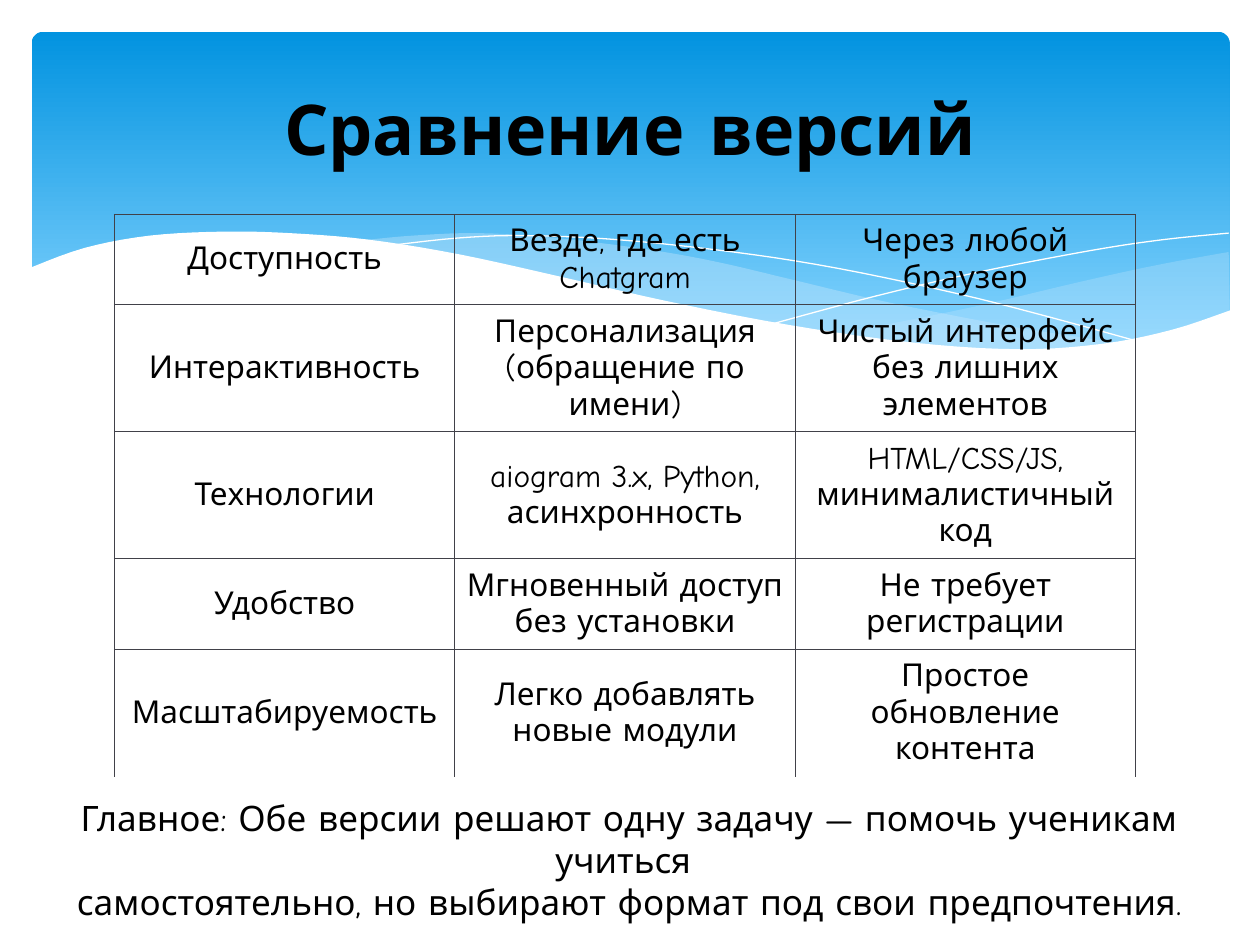
import lxml.etree
import pptx
import pptx.dml.color
import pptx.enum.shapes
import pptx.enum.text
import pptx.oxml.ns
import pptx.util

Cm = pptx.util.Cm
Pt = pptx.util.Pt
qn = pptx.oxml.ns.qn
ANCHOR = pptx.enum.text.MSO_ANCHOR
AUTO_SIZE = pptx.enum.text.MSO_AUTO_SIZE

COLOURS = {"sky": "0293E0", "pale_sky": "83D3FE", "mist": "C6E7FC",
           "white": "FFFFFF", "border": "414149", "text": "000000"}


def colour(name):
    return pptx.dml.color.RGBColor.from_string(COLOURS[name])


def apply_format(target, values):
    for name, value in values.items():
        setattr(target, name, value)


def smooth_curve(knots, steps=5):
    """Catmull-Rom curve through the knots."""
    padded = [knots[0], *knots, knots[-1]]
    curve = [knots[0]]
    for a, b, c, d in zip(padded, padded[1:], padded[2:], padded[3:]):
        for t in (step / steps for step in range(1, steps + 1)):
            curve.append(tuple(
                (2 * q + (r - p) * t + (2 * p - 5 * q + 4 * r - s) * t ** 2
                 + (3 * q - p - 3 * r + s) * t ** 3) / 2
                for p, q, r, s in zip(a, b, c, d)))
    return curve


class SlideBuilder:
    font = "Comic Neue"

    def __init__(self, slide):
        self.slide = slide

    def fill_text(self, frame, paragraphs, size, bold=False, **frame_format):
        apply_format(frame, frame_format)
        for index, wording in enumerate(paragraphs):
            paragraph = frame.add_paragraph() if index else frame.paragraphs[0]
            paragraph.alignment = pptx.enum.text.PP_ALIGN.CENTER
            run = paragraph.add_run()
            run.text = wording
            apply_format(run.font, {"name": self.font, "size": Pt(size), "bold": bold})
            run.font.color.rgb = colour("text")

    def text(self, box, paragraphs, size, **options):
        frame = self.slide.shapes.add_textbox(*map(Cm, box)).text_frame
        self.fill_text(frame, paragraphs, size, **options)

    def gradient_panel(self, box, radius, stops):
        panel = self.slide.shapes.add_shape(
            pptx.enum.shapes.MSO_SHAPE.ROUNDED_RECTANGLE, *map(Cm, box))
        panel.adjustments[0] = radius
        panel.shadow.inherit = False
        panel.line.fill.background()
        panel.fill.gradient()
        panel.fill.gradient_angle = 270
        for stop, (position, name) in zip(panel.fill.gradient_stops, stops):
            stop.position = position
            stop.color.rgb = colour(name)

    def outline(self, points, close):
        start, *rest = [(Cm(x), Cm(y)) for x, y in points]
        builder = self.slide.shapes.build_freeform(*start)
        builder.add_line_segments(rest, close=close)
        shape = builder.convert_to_shape()
        shape.shadow.inherit = False
        return shape

    def wave(self, points, name, opacity=100):
        wave = self.outline(points, True)
        wave.line.fill.background()
        wave.fill.solid()
        wave.fill.fore_color.rgb = colour(name)
        if opacity < 100:
            tint = wave.element.spPr.find(qn("a:solidFill")).find(qn("a:srgbClr"))
            lxml.etree.SubElement(tint, qn("a:alpha"), val=str(opacity * 1000))

    def curve(self, points, name):
        curve = self.outline(points, False)
        curve.fill.background()
        curve.line.color.rgb = colour(name)
        curve.line.width = Pt(0)

    def borders(self, cell, widths):
        properties = cell._tc.get_or_add_tcPr()
        for index, (side, width) in enumerate(widths.items()):
            edge = lxml.etree.Element(qn("a:ln" + side), w=str(int(Pt(width))))
            if width:
                fill = lxml.etree.SubElement(edge, qn("a:solidFill"))
                lxml.etree.SubElement(fill, qn("a:srgbClr"), val=COLOURS["border"])
            else:
                lxml.etree.SubElement(edge, qn("a:noFill"))
            properties.insert(index, edge)

    def table(self, left, top, column_width, row_heights, rows, size):
        last_row, last_column = len(rows) - 1, len(rows[0]) - 1
        table = self.slide.shapes.add_table(
            len(rows), len(rows[0]), Cm(left), Cm(top),
            Cm(column_width * len(rows[0])), Cm(sum(row_heights))).table
        apply_format(table, {"first_row": False, "horz_banding": False})
        for column in table.columns:
            column.width = Cm(column_width)
        margins = {f"margin_{side}": Cm(0.18)
                   for side in ("left", "top", "right", "bottom")}
        for r, (height, wordings) in enumerate(zip(row_heights, rows)):
            table.rows[r].height = Cm(height)
            for c, wording in enumerate(wordings):
                cell = table.cell(r, c)
                apply_format(cell, {"vertical_anchor": ANCHOR.MIDDLE, **margins})
                cell.fill.background()
                self.fill_text(cell.text_frame, [wording], size)
                self.borders(cell, {"L": 0.75 if c else 1,
                                    "R": 1 if c == last_column else 0.75,
                                    "T": 0.75,
                                    "B": 0 if r == last_row else 0.75})


# Knots of the waves, in centimetres
RIGHT_WAVE_TOP = [(24.77, 5.08), (23.39, 5.33), (21.87, 5.66), (19.79, 6.15),
                  (17.93, 6.53), (16.79, 6.73)]
RIGHT_WAVE_BOTTOM = [(16.79, 6.73), (17.91, 6.88), (19.23, 7.01), (20.68, 7.06),
                     (22.15, 6.96), (23.39, 6.73), (24.79, 6.27)]
MIDDLE_WAVE_TOP = [(22.68, 6.93), (20.5, 6.6), (17.93, 6.1), (15.98, 5.64),
                   (14.45, 5.28), (13.06, 5.03), (11.23, 4.8), (9.65, 4.7),
                   (8.33, 4.75), (7.26, 4.85)]
MIDDLE_WAVE_BOTTOM = [(7.26, 4.85), (9.19, 5.16), (11.4, 5.64), (13.46, 6.1),
                      (15.27, 6.48), (17.27, 6.81), (19, 7.01), (20.78, 7.06),
                      (22.68, 6.93)]
FALLING_LINE = [(7.85, 4.95), (9.22, 4.8), (10.57, 4.75), (12.42, 4.83),
                (14.78, 5.08), (16.89, 5.41), (19.3, 5.92), (21.11, 6.38),
                (23.04, 6.91)]
RISING_LINE = [(15.57, 6.53), (17.65, 5.97), (19.71, 5.49), (22, 5.05),
               (23.47, 4.83), (24.77, 4.7)]
WHITE_WAVE_TOP = [(24.82, 6.25), (23.62, 6.65), (22.23, 6.93), (20.55, 7.04),
                  (18.44, 6.91), (15.9, 6.55), (13.44, 6.07), (11.35, 5.59),
                  (9.27, 5.13), (7.42, 4.83), (5.84, 4.7), (4.5, 4.67),
                  (3.02, 4.75), (1.7, 5), (0.58, 5.41)]
WHITE_WAVE_BASE = [(0.58, 8.36), (24.82, 8.36)]

COMPARISON = [
    ("Доступность", "Везде, где есть Chatgram", "Через любой браузер"),
    ("Интерактивность", "Персонализация (обращение по имени)",
     "Чистый интерфейс без лишних элементов"),
    ("Технологии", "aiogram 3.x, Python, асинхронность",
     "HTML/CSS/JS, минималистичный код"),
    ("Удобство", "Мгновенный доступ без установки", "Не требует регистрации"),
    ("Масштабируемость", "Легко добавлять новые модули",
     "Простое обновление контента"),
]
TWO_LINES, THREE_LINES = 1.81, 2.54


def main():
    deck = pptx.Presentation()
    apply_format(deck, {"slide_width": Cm(25.4), "slide_height": Cm(19.05)})
    page = SlideBuilder(deck.slides.add_slide(deck.slide_layouts[6]))

    # Sky with waves
    page.gradient_panel((0.64, 0.64, 24.15, 6.86), 0.034,
                        [(0, "sky"), (0.9, "pale_sky")])
    page.wave(smooth_curve(RIGHT_WAVE_TOP) + smooth_curve(RIGHT_WAVE_BOTTOM), "mist", 29)
    page.wave(smooth_curve(MIDDLE_WAVE_TOP) + smooth_curve(MIDDLE_WAVE_BOTTOM), "mist", 40)
    for line in (FALLING_LINE, RISING_LINE):
        page.curve(smooth_curve(line), "white")
    page.wave(smooth_curve(WHITE_WAVE_TOP) + WHITE_WAVE_BASE, "white")

    # Comparison table
    page.table(2.31, 4.32, 6.86,
               [TWO_LINES, THREE_LINES, THREE_LINES, TWO_LINES, THREE_LINES],
               COMPARISON, 18)

    # Title and conclusion
    page.text((1.27, 0.74, 22.86, 3.68), ["Сравнение версий"], 40, bold=True,
              word_wrap=True, vertical_anchor=ANCHOR.MIDDLE)
    page.text((0.18, 15.93, 25, 1.96),
              ["Главное: Обе версии решают одну задачу — помочь ученикам учиться ",
               "самостоятельно, но выбирают формат под свои предпочтения."],
              20, word_wrap=False, auto_size=AUTO_SIZE.SHAPE_TO_FIT_TEXT)

    deck.save("out.pptx")


if __name__ == "__main__":
    main()
